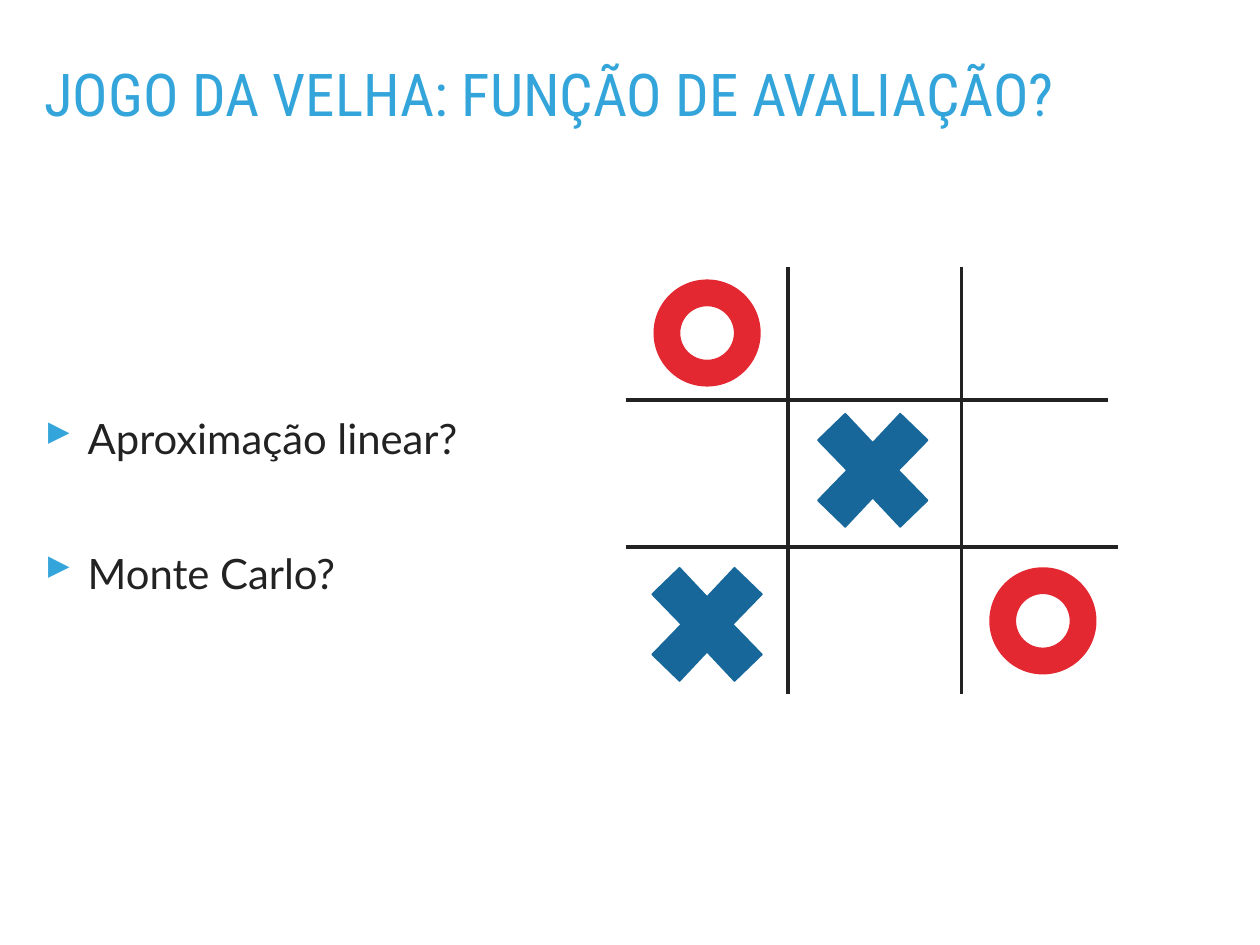
from lxml.etree import SubElement
from pptx import Presentation
from pptx.dml.color import RGBColor
from pptx.enum.shapes import MSO_CONNECTOR as Connector, MSO_SHAPE as Shape
from pptx.enum.text import MSO_ANCHOR as Anchor, MSO_AUTO_SIZE as AutoSize, PP_ALIGN as Align
from pptx.oxml.ns import qn
from pptx.util import Inches, Pt

COLORS = {"title": "34A5DA", "ink": "222222", "nought": "E42832", "cross": "18679A"}


class BoardSlide:
    title_font = "Roboto Condensed"
    body_font = "Lato"
    inset = Inches(0.06)

    def __init__(self, deck):
        self.slide = deck.slides.add_slide(deck.slide_layouts[5])
        self.board = self.slide.shapes.add_group_shape().shapes

    def color(self, name):
        return RGBColor.from_string(COLORS[name])

    def frame(self, box, anchor):
        frame = box.text_frame
        frame.word_wrap = True
        frame.auto_size = AutoSize.NONE
        frame.vertical_anchor = anchor
        frame.margin_left = frame.margin_right = self.inset
        frame.margin_top = frame.margin_bottom = self.inset
        return frame

    def style(self, paragraph, font, size, color, spacing):
        paragraph.alignment = Align.LEFT
        paragraph.line_spacing = spacing
        for run in paragraph.runs:
            run.font.name = font
            run.font.size = Pt(size)
            run.font.color.rgb = self.color(color)

    def title(self, text, left, top, width, height):
        heading = self.slide.shapes.title
        heading.left, heading.top = Inches(left), Inches(top)
        heading.width, heading.height = Inches(width), Inches(height)
        frame = self.frame(heading, Anchor.TOP)
        frame.text = text
        paragraph = frame.paragraphs[0]
        paragraph.space_before = Pt(0)
        self.style(paragraph, self.title_font, 48, "title", 0.8)

    def bullets(self, items, left, top, width, height):
        box = self.slide.shapes.add_textbox(
            Inches(left), Inches(top), Inches(width), Inches(height))
        frame = self.frame(box, Anchor.MIDDLE)
        frame.text = "\n".join(items)
        for index, paragraph in enumerate(frame.paragraphs):
            self.bullet(paragraph)
            self.style(paragraph, self.body_font, 34, "ink", 2.0)
            paragraph.space_before = Pt(28 if index else 0)

    def bullet(self, paragraph):
        properties = paragraph._p.get_or_add_pPr()
        properties.set("marL", str(Inches(0.49)))
        properties.set("indent", str(-Inches(0.49)))
        bullet_color = SubElement(properties, qn("a:buClr"))
        SubElement(bullet_color, qn("a:srgbClr"), val=COLORS["title"])
        SubElement(properties, qn("a:buSzPct"), val="105000")
        SubElement(properties, qn("a:buChar"), char="▸")

    def line(self, x1, y1, x2, y2):
        rule = self.board.add_connector(
            Connector.STRAIGHT, Inches(x1), Inches(y1), Inches(x2), Inches(y2))
        rule.line.color.rgb = self.color("ink")
        rule.line.width = Pt(3)
        SubElement(rule._element.spPr, qn("a:effectLst"))

    def nought(self, x, y, size=1.21):
        ring = self.board.add_shape(
            Shape.DONUT, Inches(x - size / 2), Inches(y - size / 2), Inches(size), Inches(size))
        ring.adjustments[0] = 0.25
        ring.shadow.inherit = False
        ring.fill.solid()
        ring.fill.fore_color.rgb = self.color("nought")
        ring.line.fill.background()

    def cross(self, x, y):
        arm = [(0.62, 0.34), (0.31, 0.64), (0, 0.31)]
        half = arm + [(-dx, dy) for dx, dy in arm[1::-1]] + [(-0.29, 0)]
        outline = half + [(-dx, -dy) for dx, dy in half]
        points = [(Inches(x + dx), Inches(y + dy)) for dx, dy in outline]
        builder = self.board.build_freeform(*points[0])
        builder.add_line_segments(points[1:], close=True)
        mark = builder.convert_to_shape()
        mark.shadow.inherit = False
        mark.fill.solid()
        mark.fill.fore_color.rgb = self.color("cross")
        mark.line.color.rgb = self.color("cross")
        mark.line.width = Pt(1.25)


def main():
    deck = Presentation()
    deck.slide_width, deck.slide_height = Inches(14.22), Inches(10.67)
    page = BoardSlide(deck)
    page.title("JOGO DA VELHA: FUNÇÃO DE AVALIAÇÃO?", 0.44, 0.74, 13.33, 0.79)
    page.bullets(["Aproximação linear?", "Monte Carlo?"], 0.44, 2.08, 13.33, 6.68)
    for x in (8.89, 10.85):
        page.line(x, 3.01, x, 7.84)
    for y, right in ((4.52, 12.51), (6.18, 12.62)):
        page.line(7.07, y, right, y)
    for x, y in ((7.98, 3.76), (11.77, 7.01)):
        page.nought(x, y)
    for x, y in ((9.85, 5.31), (7.98, 7.05)):
        page.cross(x, y)
    deck.save("out.pptx")


if __name__ == "__main__":
    main()
